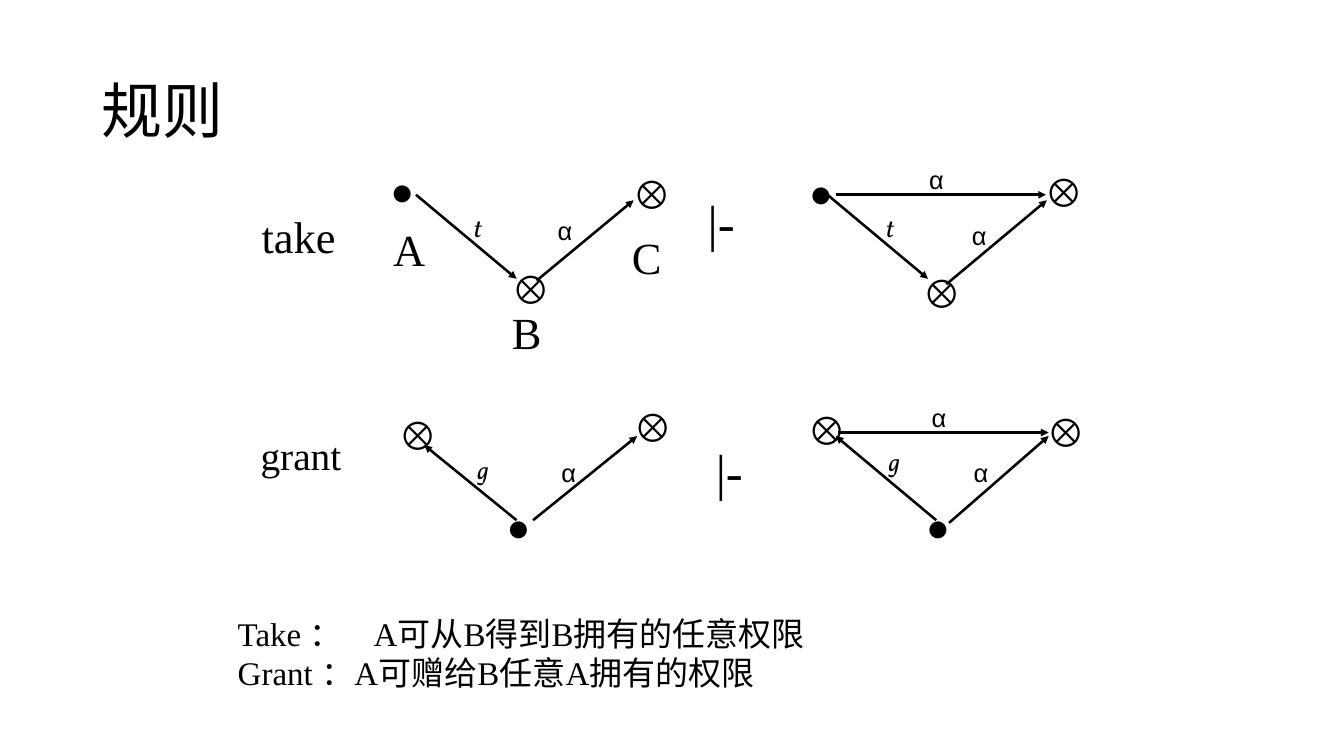
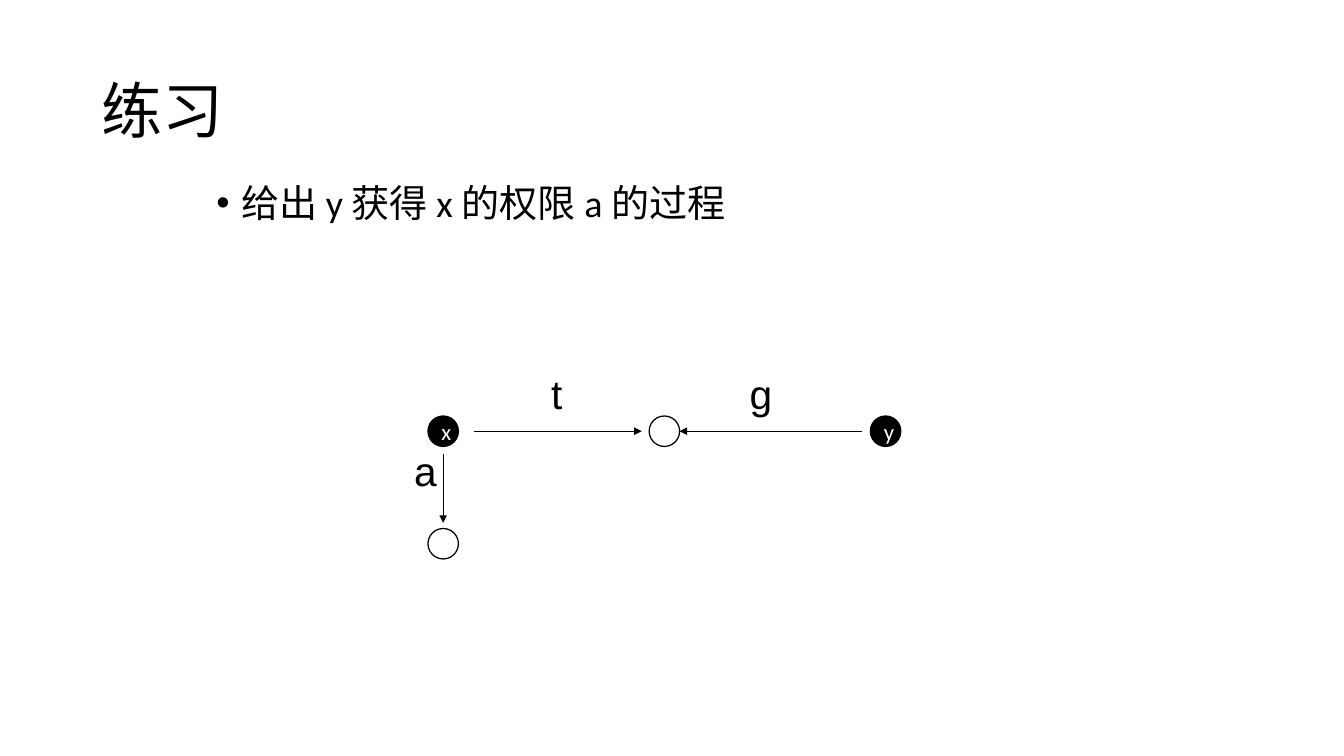
from typing import NamedTuple

from lxml.etree import SubElement
from pptx import Presentation
from pptx.dml.color import RGBColor
from pptx.enum.shapes import MSO_CONNECTOR as Conn, MSO_SHAPE as Shape
from pptx.enum.text import MSO_ANCHOR as Anchor, PP_ALIGN as Align
from pptx.oxml.ns import qn
from pptx.util import Pt

BLACK = RGBColor(0, 0, 0)
WHITE = RGBColor(255, 255, 255)


class Style(NamedTuple):
    font: str
    size: float
    width: float
    height: float
    spacing: float = 1.0
    inset_x: float = 5.8
    inset_y: float = 2.2
    bold: bool = False
    italic: bool = False
    anchor: Anchor = Anchor.TOP


class Label(NamedTuple):
    text: str
    style: Style
    x: float
    y: float


class Arrow(NamedTuple):
    x1: float
    y1: float
    x2: float
    y2: float


class Node(NamedTuple):
    text: str
    fill: RGBColor
    x: float
    y: float


# Text styles
TITLE = Style("Calibri", 48, 913, 115.2, 0.9, 7.2, 3.6, anchor=Anchor.MIDDLE)
BODY = Style("Calibri", 30, 714, 138, 0.9, 7.2, 3.6)
OBJECT = Style("Arial", 31, 36, 46, 1.11, bold=True)
SUBJECT = Style("Arial", 31, 42, 36, 0.85, bold=True)
ALPHA = Style("Arial", 20, 24, 31, 1.11)
RIGHT = Style("Vollkorn", 20, 22, 25, 0.85, italic=True)
TAKE = Style("Times New Roman", 35, 95, 41, 0.87)
GRANT = Style("Times New Roman", 31, 88, 37, 0.87)
LETTER = Style("Times New Roman", 35, 32, 41, 0.87)
DERIVES = Style("Times New Roman", 40, 45, 56, 1.0, 7.9, 4)
NOTE = Style("Times New Roman", 26, 662.4, 70.6, 1.0, 7.9, 4)
EDGE = Style("Arial", 32, 30, 46, 1.0, 7.2, 3.6)


def add_label(s, label: Label):
    style = label.style
    box = s.shapes.add_textbox(Pt(label.x), Pt(label.y), Pt(style.width), Pt(style.height))
    tf = box.text_frame
    tf.word_wrap = True
    tf.vertical_anchor = style.anchor
    tf.margin_left = tf.margin_right = Pt(style.inset_x)
    tf.margin_top = tf.margin_bottom = Pt(style.inset_y)
    tf.text = label.text
    for p in tf.paragraphs:
        p.line_spacing = style.spacing
        for r in p.runs:
            r.font.name = style.font
            r.font.size = Pt(style.size)
            r.font.bold = style.bold
            r.font.italic = style.italic
            r.font.color.rgb = BLACK
    return tf


def add_arrow(s, arrow: Arrow, weight: float) -> None:
    line = s.shapes.add_connector(Conn.STRAIGHT, *(Pt(v) for v in arrow))
    line.line.color.rgb = BLACK
    line.line.width = Pt(weight)
    SubElement(line.line._get_or_add_ln(), qn("a:tailEnd"), type="triangle")
    SubElement(line._element.spPr, qn("a:effectLst"))


def add_node(s, node: Node) -> None:
    sp = s.shapes.add_shape(Shape.OVAL, Pt(node.x), Pt(node.y), Pt(NODE_SIZE), Pt(NODE_SIZE))
    sp.shadow.inherit = False
    sp.fill.solid()
    sp.fill.fore_color.rgb = node.fill
    sp.line.color.rgb = BLACK
    sp.line.width = Pt(1)
    if node.text:
        tf = sp.text_frame
        tf.text = node.text
        tf.vertical_anchor = Anchor.MIDDLE
        p = tf.paragraphs[0]
        p.alignment = Align.CENTER
        r = p.runs[0]
        r.font.name = "Calibri"
        r.font.size = Pt(18)
        r.font.color.rgb = WHITE


def add_slide(prs, title: str):
    s = prs.slides.add_slide(prs.slide_layouts[6])
    add_label(s, Label(title, TITLE, 72.7, 31.7))
    return s


# Rules slide
RULE_ARROWS = [
    # take, before and after
    Arrow(327.6, 153.4, 406.8, 219.6),
    Arrow(422.6, 221, 499, 157.7),
    Arrow(651.6, 153.4, 730.8, 219.6),
    Arrow(745.2, 223.9, 824.4, 157.7),
    Arrow(658.1, 153.4, 823.7, 153.4),
    # grant, before and after
    Arrow(406.8, 409.7, 334.1, 350.6),
    Arrow(419.8, 409.7, 501.8, 343.4),
    Arrow(737.3, 409.7, 658.1, 343.4),
    Arrow(747.4, 411.8, 825.8, 343.4),
    Arrow(660.2, 340.6, 825.8, 340.6),
]
REPEATED_MARKS = [
    ("⊗", OBJECT, [(396.7, 201.6), (492.5, 126.7), (720.7, 204.5), (816.5, 125.3),
                   (308.2, 316.8), (493.2, 310.3), (630, 312.5), (818.6, 314.6)]),
    ("●", SUBJECT, [(301.7, 134.6), (631.4, 136.1), (393.1, 398.9), (723.6, 398.9)]),
    ("α", ALPHA, [(433.4, 164.2), (759.6, 168.5), (725.8, 124.6),
                  (436.3, 355), (761, 355), (727.9, 311.8)]),
    ("t", RIGHT, [(367.2, 168.5), (691.9, 168.5)]),
    ("g", RIGHT, [(370.1, 359.3), (694.1, 352.8)]),
    ("|-", DERIVES, [(549.4, 146.2), (555.8, 342)]),
]
RULE_LABELS = [
    Label("take", TAKE, 200.2, 168.5),
    Label("grant", GRANT, 199.4, 342.7),
    Label("A", LETTER, 303.8, 178.6),
    Label("B", LETTER, 397.4, 244.1),
    Label("C", LETTER, 491.8, 185),
]


def build_rules(prs) -> None:
    s = add_slide(prs, "规则")
    for arrow in RULE_ARROWS:
        add_arrow(s, arrow, 2)
    for text, style, places in REPEATED_MARKS:
        for x, y in places:
            add_label(s, Label(text, style, x, y))
    for label in RULE_LABELS:
        add_label(s, label)

    # Explanation, with a tab stop after the rule name
    note = "Take ：\tA可从B得到B拥有的任意权限\nGrant ：A可赠给B任意A拥有的权限"
    tf = add_label(s, Label(note, NOTE, 179.3, 478.8))
    tabs = SubElement(tf.paragraphs[0]._p.get_or_add_pPr(), qn("a:tabLst"))
    SubElement(tabs, qn("a:tab"), pos=str(Pt(107)), algn="l")


# Exercise slide
NODE_SIZE = 24
NODE_X = [337 + 174.2 * i for i in range(3)]
ROW_Y, LOWER_Y = 327.6, 416.2
AXIS_Y = ROW_Y + NODE_SIZE / 2
AXIS_X = NODE_X[0] + NODE_SIZE / 2
NODES = [
    Node("x", BLACK, NODE_X[0], ROW_Y),
    Node("", WHITE, NODE_X[1], ROW_Y),
    Node("y", BLACK, NODE_X[2], ROW_Y),
    Node("", WHITE, NODE_X[0], LOWER_Y),
]
EXERCISE_ARROWS = [
    Arrow(373, AXIS_Y, 505.4, AXIS_Y),
    Arrow(679, AXIS_Y, NODE_X[1] + NODE_SIZE, AXIS_Y),
    Arrow(AXIS_X, 357.8, AXIS_X, 411.8),
]
EDGE_LABELS = [
    Label("t", EDGE, 427, 287.3),
    Label("g", EDGE, 583.2, 287.3),
    Label("a", EDGE, 319, 347.8),
]


def build_exercise(prs) -> None:
    s = add_slide(prs, "练习")

    # Bulleted task
    tf = add_label(s, Label("给出 y 获得 x 的权限 a 的过程", BODY, 163.4, 141.8))
    pPr = tf.paragraphs[0]._p.get_or_add_pPr()
    pPr.set("marL", str(Pt(19.4)))
    pPr.set("indent", str(-Pt(19.4)))
    SubElement(pPr, qn("a:buFont"), typeface="Arial")
    SubElement(pPr, qn("a:buChar"), char="•")

    # Graph
    for node in NODES:
        add_node(s, node)
    for arrow in EXERCISE_ARROWS:
        add_arrow(s, arrow, 0.5)
    for label in EDGE_LABELS:
        add_label(s, label)


def main() -> None:
    prs = Presentation()
    prs.slide_width, prs.slide_height = Pt(1058.4), Pt(595.4)
    build_rules(prs)
    build_exercise(prs)
    prs.save("out.pptx")


if __name__ == "__main__":
    main()
